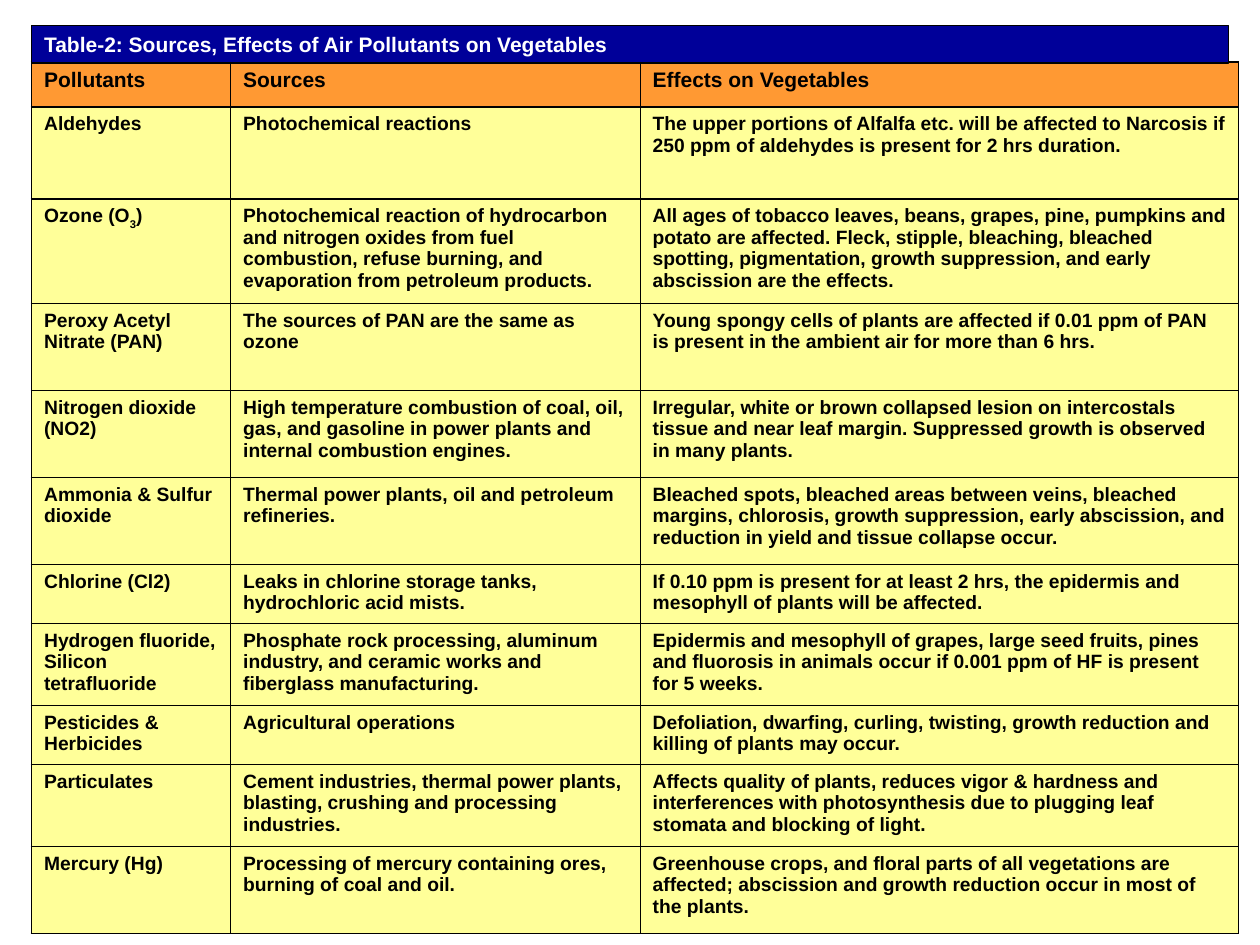
from lxml import etree
from pptx import Presentation
from pptx.dml.color import RGBColor
from pptx.enum.text import MSO_ANCHOR, MSO_AUTO_SIZE, PP_ALIGN
from pptx.oxml.ns import qn
from pptx.util import Inches, Pt

TOP = MSO_ANCHOR.TOP
FIXED = MSO_AUTO_SIZE.NONE
LEFT = PP_ALIGN.LEFT
FONT = "Arial"
HUES = {"navy": "000099", "orange": "FF9933", "yellow": "FFFF99",
        "black": "000000", "white": "FFFFFF"}
THIN, THICK = 0.45, 1.08
COLS = [1.58, 3.25, 4.75]
TITLE = "Table-2: Sources, Effects of Air Pollutants on Vegetables"
ROWS = [
    (0.36, "Pollutants", "Sources", "Effects on Vegetables"),
    (0.73, "Aldehydes", "Photochemical reactions",
     "The upper portions of Alfalfa etc. will be affected to Narcosis if "
     "250 ppm of aldehydes is present for 2 hrs duration."),
    (0.83, "Ozone (O|3|)",
     "Photochemical reaction of hydrocarbon and nitrogen oxides from fuel "
     "combustion, refuse burning, and evaporation from petroleum products.",
     "All ages of tobacco leaves, beans, grapes, pine, pumpkins and potato "
     "are affected. Fleck, stipple, bleaching, bleached spotting, "
     "pigmentation, growth suppression, and early abscission are the effects."),
    (0.69, "Peroxy Acetyl Nitrate (PAN)",
     "The sources of PAN are the same as ozone",
     "Young spongy cells of plants are affected if 0.01 ppm of PAN is "
     "present in the ambient air for more than 6 hrs."),
    (0.69, "Nitrogen dioxide (NO2)",
     "High temperature combustion of coal, oil, gas, and gasoline in power "
     "plants and internal combustion engines.",
     "Irregular, white or brown collapsed lesion on intercostals tissue and "
     "near leaf margin. Suppressed growth is observed in many plants."),
    (0.69, "Ammonia & Sulfur dioxide",
     "Thermal power plants, oil and petroleum refineries.",
     "Bleached spots, bleached areas between veins, bleached margins, "
     "chlorosis, growth suppression, early abscission, and reduction in "
     "yield and tissue collapse occur."),
    (0.47, "Chlorine (Cl2)",
     "Leaks in chlorine storage tanks, hydrochloric acid mists.",
     "If 0.10 ppm is present for at least 2 hrs, the epidermis and mesophyll "
     "of plants will be affected."),
    (0.65, "Hydrogen fluoride, Silicon tetrafluoride",
     "Phosphate rock processing, aluminum industry, and ceramic works and "
     "fiberglass manufacturing.",
     "Epidermis and mesophyll of grapes, large seed fruits, pines and "
     "fluorosis in animals occur if 0.001 ppm of HF is present for 5 weeks."),
    (0.47, "Pesticides & Herbicides", "Agricultural operations",
     "Defoliation, dwarfing, curling, twisting, growth reduction and killing "
     "of plants may occur."),
    (0.65, "Particulates",
     "Cement industries, thermal power plants, blasting, crushing and "
     "processing industries.",
     "Affects quality of plants, reduces vigor & hardness and interferences "
     "with photosynthesis due to plugging leaf stomata and blocking of light."),
    (0.69, "Mercury (Hg)",
     "Processing of mercury containing ores, burning of coal and oil.",
     "Greenhouse crops, and floral parts of all vegetations are affected; "
     "abscission and growth reduction occur in most of the plants."),
]


def hue(name):
    return RGBColor.from_string(HUES[name])


def paint(item, name):
    item.fill.solid()
    item.fill.fore_color.rgb = hue(name)


def style(font, size, name):
    font.name = FONT
    font.size = Pt(size)
    font.bold = True
    font.color.rgb = hue(name)


def write(para, text, size, name, gap):
    para.alignment = LEFT
    para.space_before = Pt(gap)
    for i, part in enumerate(text.split("|")):
        run = para.add_run()
        run.text = part
        style(run.font, size, name)
        if i % 2:
            run._r.get_or_add_rPr().set("baseline", "-30000")


def border(cell, sides):
    props = cell._tc.get_or_add_tcPr()
    for side, width in sides.items():
        line = etree.SubElement(props, qn("a:ln" + side), w=str(Pt(width)))
        fill = etree.SubElement(line, qn("a:solidFill"))
        etree.SubElement(fill, qn("a:srgbClr"), val=HUES["black"])


def add_grid(slide):
    high = sum(row[0] for row in ROWS)
    frame = slide.shapes.add_table(
        len(ROWS), len(COLS), Inches(0.25), Inches(0.49),
        Inches(sum(COLS)), Inches(high))
    grid = frame.table
    grid.first_row = grid.horz_banding = False
    for col, width in zip(grid.columns, COLS):
        col.width = Inches(width)
    last = len(COLS) - 1
    for r, (tall, *texts) in enumerate(ROWS):
        grid.rows[r].height = Inches(tall)
        size, gap, back = (11, 2.8, "yellow") if r else (12, 3, "orange")
        for c, text in enumerate(texts):
            cell = grid.cell(r, c)
            cell.margin_right = Inches(0.09)
            border(cell, {"L": THIN if c else THICK,
                          "R": THIN if c < last else THICK,
                          "T": THICK, "B": THICK})
            paint(cell, back)
            write(cell.text_frame.paragraphs[0], text, size, "black", gap)


def set_title(slide):
    title = slide.shapes.title
    title.left, title.top = Inches(0.25), Inches(0.2)
    title.width, title.height = Inches(9.5), Inches(0.3)
    paint(title, "navy")
    title.line.color.rgb = hue("black")
    title.line.width = Pt(0.74)
    frame = title.text_frame
    frame.word_wrap = True
    frame.auto_size = FIXED
    frame.vertical_anchor = TOP
    write(frame.paragraphs[0], TITLE, 12, "white", 7.5)
    slide.shapes._spTree.append(title._element)


def main():
    deck = Presentation()
    deck.slide_width, deck.slide_height = Inches(10), Inches(7.5)
    slide = deck.slides.add_slide(deck.slide_layouts[5])
    add_grid(slide)
    set_title(slide)
    deck.save("out.pptx")


main()
